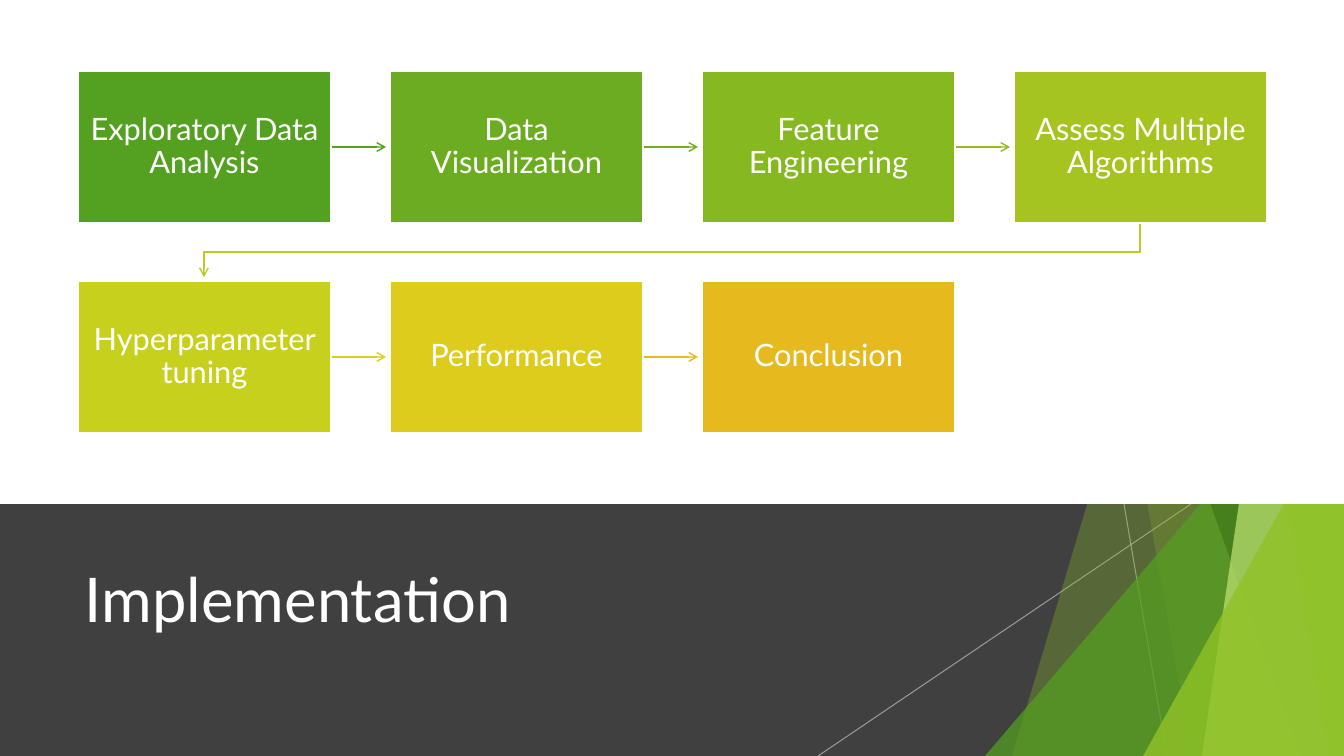
from dataclasses import dataclass
from typing import NamedTuple

from lxml.etree import SubElement
from pptx import Presentation
from pptx.dml.color import RGBColor
from pptx.enum.shapes import MSO_CONNECTOR as CONN, MSO_SHAPE as SHAPE
from pptx.enum.text import MSO_ANCHOR as ANCHOR, PP_ALIGN as ALIGN
from pptx.oxml.ns import qn
from pptx.util import Emu, Pt

EMU_PER_PX = 12192000 / 1344
WIDTH, HEIGHT, BAND_TOP = 1344, 756, 504

CARD_LEFT, CARD_TOP, CARD_W, CARD_H = 78, 71, 253, 152
PITCH_X, PITCH_Y, COLUMNS = 312, 210, 4
ARROW_LENGTH, BEND_DROP, ELBOW_DROP = 55, 29, 54


@dataclass(frozen=True)
class Theme:
    font: str = "Lato"
    white: str = "FFFFFF"
    band: str = "404040"
    ray: str = "BFBFBF"
    lime: str = "90C226"
    green: str = "54A021"
    forest: str = "3F7819"
    pale: str = "C0E474"
    title_size: float = 44
    card_size: float = 22
    card_space_after: float = 7.7
    ray_width: float = 0.75
    arrow_width: float = 1
    border_width: float = 1.5


class Shard(NamedTuple):
    """Slanted sheet running from top_x down to bottom_x, up to the right edge."""
    top_x: int
    bottom_x: int
    color: str
    alpha: int


class Wedge(NamedTuple):
    """Right triangle in the bottom right corner."""
    left: int
    top: int
    color: str
    alpha: int


class Ray(NamedTuple):
    top_x: int
    bottom_x: int


class Step(NamedTuple):
    text: str
    fill: str
    arrow: str | None = None


T = Theme()

RAYS = [Ray(1124, 1167), Ray(1191, 818)]
FACETS = [
    Shard(1238, 1012, T.lime, 30),
    Shard(1058, 1192, T.lime, 20),
    Wedge(985, 336, T.green, 72),
    Shard(1029, 1301, T.forest, 70),
    Shard(1313, 1202, T.pale, 70),
    Shard(1206, 1329, T.lime, 65),
    Wedge(1143, 396, T.lime, 80),
]
STEPS = [
    Step("Exploratory Data Analysis", "54A021", "54A021"),
    Step("Data Visualization", "6BAC20", "71AE20"),
    Step("Feature Engineering", "86B820", "92BC1F"),
    Step("Assess Multiple Algorithms", "A5C41F", "B9CB1E"),
    Step("Hyperparameter tuning", "C7D01D", "DACF1C"),
    Step("Performance", "DDCC1C", "E6B91E"),
    Step("Conclusion", "E6B91E"),
]


def px(n: int) -> Emu:
    return Emu(round(n * EMU_PER_PX))


def rgb(color: str) -> RGBColor:
    return RGBColor.from_string(color)


def set_alpha(fill, percent: int) -> None:
    clr = fill._xPr.find(qn("a:solidFill"))[0]
    SubElement(clr, qn("a:alpha"), val=str(percent * 1000))


def paint(sp, color: str, alpha: int = 100) -> None:
    """Fill a shape flat, without line or shadow."""
    sp.shadow.inherit = False
    sp.line.fill.background()
    sp.fill.solid()
    sp.fill.fore_color.rgb = rgb(color)
    if alpha < 100:
        set_alpha(sp.fill, alpha)


def add_block(s, kind: SHAPE, x: int, y: int, w: int, h: int, color: str, alpha: int = 100):
    sp = s.shapes.add_shape(kind, px(x), px(y), px(w), px(h))
    paint(sp, color, alpha)
    return sp


def add_outline(s, points: list[tuple[int, int]], close: bool):
    builder = s.shapes.build_freeform(*points[0], scale=EMU_PER_PX)
    builder.add_line_segments(points[1:], close=close)
    return builder.convert_to_shape()


def add_line(s, x1: int, y1: int, x2: int, y2: int):
    cxn = s.shapes.add_connector(CONN.STRAIGHT, px(x1), px(y1), px(x2), px(y2))
    SubElement(cxn._element.spPr, qn("a:effectLst"))
    return cxn


def style_line(line, color: str, width: float) -> None:
    line.fill.solid()
    line.color.rgb = rgb(color)
    line.width = Pt(width)


def add_run(p, text: str, size: float) -> None:
    r = p.add_run()
    r.text = text
    r.font.name, r.font.size = T.font, Pt(size)
    r.font.color.rgb = rgb(T.white)


def add_ray(s, ray: Ray) -> None:
    cxn = add_line(s, ray.top_x, BAND_TOP, ray.bottom_x, HEIGHT)
    style_line(cxn.line, T.ray, T.ray_width)
    set_alpha(cxn.line.fill, 70)


def add_facet(s, facet: Shard | Wedge) -> None:
    if isinstance(facet, Shard):
        corners = [(facet.top_x, -1), (WIDTH, -1), (WIDTH, HEIGHT), (facet.bottom_x, HEIGHT)]
        paint(add_outline(s, corners, close=True), facet.color, facet.alpha)
    else:
        sp = add_block(s, SHAPE.ISOSCELES_TRIANGLE, facet.left, facet.top,
                       WIDTH - facet.left, HEIGHT - facet.top, facet.color, facet.alpha)
        sp.adjustments[0] = 1


def add_title(s, text: str) -> None:
    tf = s.shapes.add_textbox(px(75), px(525), px(948), px(145)).text_frame
    tf.word_wrap = True
    tf.vertical_anchor = ANCHOR.MIDDLE
    add_run(tf.paragraphs[0], text, T.title_size)


def add_arrow(s, x: int, y: int, last_column: bool, color: str) -> None:
    """Lead from the card at x, y to the next one, turning at the row's end."""
    if last_column:
        start_x, end_x, bottom = x + CARD_W // 2, CARD_LEFT + CARD_W // 2, y + CARD_H
        bend = bottom + BEND_DROP
        sp = add_outline(s, [(start_x, bottom), (start_x, bend), (end_x, bend),
                             (end_x, bottom + ELBOW_DROP)], close=False)
        sp.shadow.inherit = False
        sp.fill.background()
    else:
        right, middle = x + CARD_W, y + CARD_H // 2
        sp = add_line(s, right, middle, right + ARROW_LENGTH, middle)
    style_line(sp.line, color, T.arrow_width)
    SubElement(sp.line._get_or_add_ln(), qn("a:tailEnd"), type="arrow")


def add_card(s, x: int, y: int, step: Step) -> None:
    sp = add_block(s, SHAPE.RECTANGLE, x, y, CARD_W, CARD_H, step.fill)
    style_line(sp.line, T.white, T.border_width)
    tf = sp.text_frame
    tf.word_wrap = True
    tf.vertical_anchor = ANCHOR.MIDDLE
    tf.margin_left = tf.margin_right = px(12)
    tf.margin_top = tf.margin_bottom = px(13)
    p = tf.paragraphs[0]
    p.alignment = ALIGN.CENTER
    p.line_spacing = 0.9
    p.space_after = Pt(T.card_space_after)
    add_run(p, step.text, T.card_size)


def main() -> None:
    prs = Presentation()
    prs.slide_width, prs.slide_height = px(WIDTH), px(HEIGHT)
    s = prs.slides.add_slide(prs.slide_layouts[6])

    add_block(s, SHAPE.RECTANGLE, 0, BAND_TOP, WIDTH, HEIGHT - BAND_TOP, T.band)
    for ray in RAYS:
        add_ray(s, ray)
    for facet in FACETS:
        add_facet(s, facet)
    add_title(s, "Implementation")
    add_block(s, SHAPE.RECTANGLE, 0, 0, WIDTH, BAND_TOP, T.white)

    for i, step in enumerate(STEPS):
        row, col = divmod(i, COLUMNS)
        x, y = CARD_LEFT + col * PITCH_X, CARD_TOP + row * PITCH_Y
        if step.arrow:
            add_arrow(s, x, y, col == COLUMNS - 1, step.arrow)
        add_card(s, x, y, step)

    prs.save("out.pptx")


if __name__ == "__main__":
    main()
